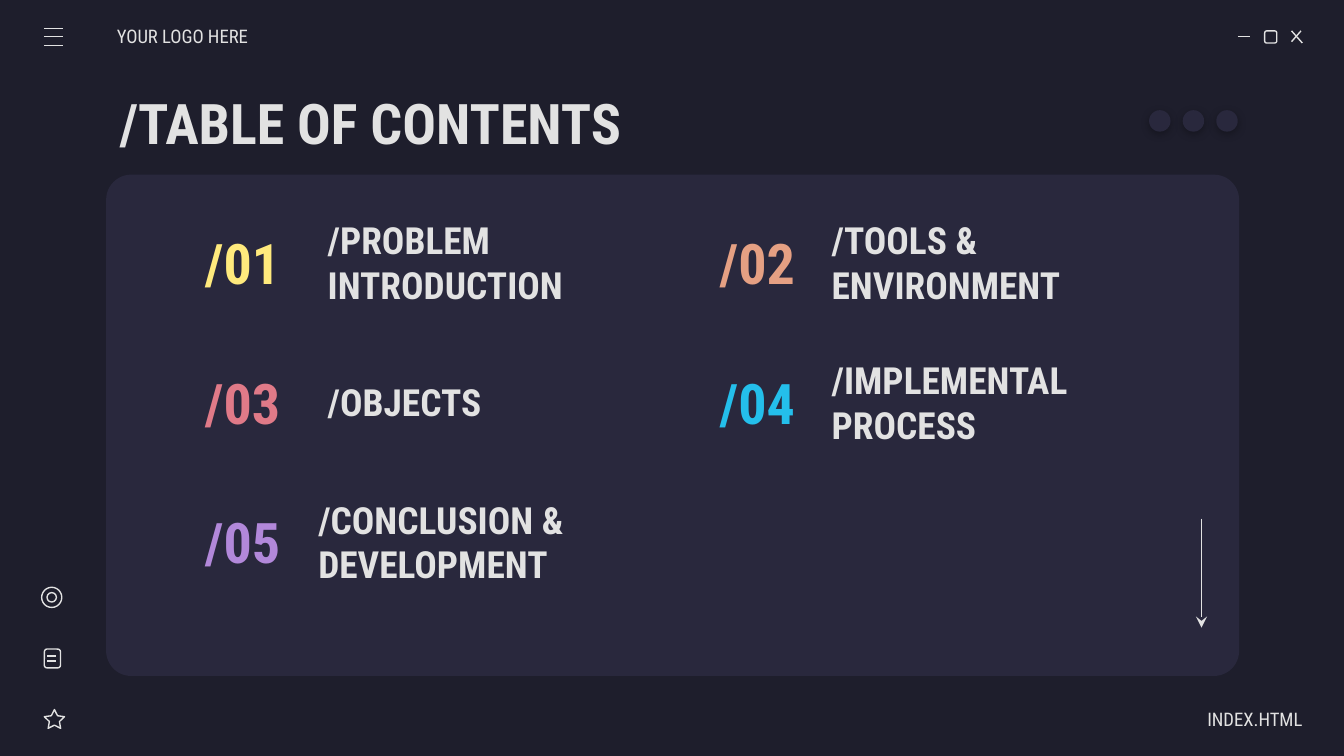
"""Build a dark table of contents slide styled as an application window."""
from lxml import etree
from pptx import Presentation
from pptx.dml.color import RGBColor
from pptx.enum.shapes import MSO_CONNECTOR, MSO_SHAPE
from pptx.enum.text import MSO_ANCHOR, MSO_AUTO_SIZE, PP_ALIGN
from pptx.oxml.ns import qn
from pptx.util import Inches, Pt

STRAIGHT = MSO_CONNECTOR.STRAIGHT
ROUNDED, OVAL, STAR = MSO_SHAPE.ROUNDED_RECTANGLE, MSO_SHAPE.OVAL, MSO_SHAPE.STAR_5_POINT
LEFT, CENTER, RIGHT = PP_ALIGN.LEFT, PP_ALIGN.CENTER, PP_ALIGN.RIGHT
MIDDLE, NO_RESIZE = MSO_ANCHOR.MIDDLE, MSO_AUTO_SIZE.NONE

COLORS = {
    "background": "1E1E2C", "panel": "29283D", "light": "E2E2E2", "shadow": "000000",
    "yellow": "FFEA7D", "orange": "E5A083", "pink": "E07A88", "blue": "24BFEB",
    "purple": "B288DA",
}
FONT = "Roboto Condensed"

TITLE = "/TABLE OF CONTENTS"
SECTIONS = [
    ("/01", "/PROBLEM INTRODUCTION", "yellow", 2.34),
    ("/02", "/TOOLS & ENVIRONMENT", "orange", 6.09),
    ("/03", "/OBJECTS", "pink", 2.34),
    ("/04", "/IMPLEMENTAL PROCESS", "blue", 6.09),
    ("/05", "/CONCLUSION & DEVELOPMENT", "purple", 2.27),
]
CAPTIONS = [
    ("YOUR LOGO HERE", (0.87, 0.12, 1.17, 0.3), LEFT, {"margin_left": 0}),
    ("INDEX.HTML", (8.52, 5.2, 1.17, 0.3), RIGHT, {"margin_right": 0}),
]
ICONS = [
    {
        "shapes": [(ROUNDED, (9.41, 0.23, 0.09, 0.09), [])],
        "lines": [(9.21, 0.27, 9.3, 0.27), (9.61, 0.23, 9.69, 0.32), (9.68, 0.23, 9.61, 0.31)],
    },
    {"shapes": [], "lines": [(0.33, y, 0.47, y) for y in (0.21, 0.27, 0.34)]},
    {
        "shapes": [
            (STAR, (0.33, 5.28, 0.15, 0.14), [0.25]),
            (ROUNDED, (0.33, 4.83, 0.12, 0.14), []),
            (OVAL, (0.31, 4.37, 0.15, 0.15), []),
            (OVAL, (0.35, 4.41, 0.07, 0.07), []),
        ],
        "lines": [(0.35, y, 0.42, y) for y in (4.88, 4.92)],
    },
]
SCROLL_ARROW = (8.94, 3.86, 8.94, 4.67)
FIRST_NUMBER_LEFT, COLUMN_STEP = 1.35, 3.83
FIRST_ROW_TOP, ROW_STEP = 1.67, 1.04
FIRST_DOT_LEFT, DOT_STEP = 8.55, 0.25


def color(name):
    return RGBColor.from_string(COLORS[name])


def set_attributes(target, values):
    for name, value in values.items():
        setattr(target, name, value)


def write(shape, text, size, color_name="light", align=LEFT, bold=True, margins=None):
    frame = shape.text_frame
    frame.text = text
    margin = Inches(0.1)
    frame_format = {
        "word_wrap": True, "auto_size": NO_RESIZE, "vertical_anchor": MIDDLE,
        "margin_left": margin, "margin_top": margin,
        "margin_right": margin, "margin_bottom": margin,
    }
    set_attributes(frame, {**frame_format, **(margins or {})})
    paragraph = frame.paragraphs[0]
    paragraph.alignment = align
    font = paragraph.runs[0].font
    set_attributes(font, {"name": FONT, "size": Pt(size), "bold": bold})
    font.color.rgb = color(color_name)


def add_text(shapes, box, *arguments, **options):
    write(shapes.add_textbox(*map(Inches, box)), *arguments, **options)


def add_shape(shapes, kind, box, adjustments=(), fill=None):
    shape = shapes.add_shape(kind, *map(Inches, box))
    shape.shadow.inherit = False
    for index, value in enumerate(adjustments):
        shape.adjustments[index] = value
    if fill:
        shape.fill.solid()
        shape.fill.fore_color.rgb = color(fill)
        shape.line.fill.background()
    else:
        shape.fill.background()
        shape.line.color.rgb = color("light")
        shape.line.width = Pt(0.75)
    return shape


def add_line(shapes, ends):
    connector = shapes.add_connector(STRAIGHT, *map(Inches, ends))
    connector.line.color.rgb = color("light")
    connector.line.width = Pt(0.75)
    etree.SubElement(connector._element.spPr, qn("a:effectLst"))
    return connector


def add_shadow(shape):
    effects = shape._element.spPr.find(qn("a:effectLst"))
    shadow = etree.SubElement(
        effects, qn("a:outerShdw"), blurRad=str(Pt(4.5)), dist=str(Pt(1.5)),
        dir="5400000", algn="bl", rotWithShape="0")
    shade = etree.SubElement(shadow, qn("a:srgbClr"), val=COLORS["shadow"])
    etree.SubElement(shade, qn("a:alpha"), val="30000")


def main():
    presentation = Presentation()
    presentation.slide_width = Inches(10)
    presentation.slide_height = presentation.slide_width * 9 // 16
    slide = presentation.slides.add_slide(presentation.slide_layouts[5])
    slide.background.fill.solid()
    slide.background.fill.fore_color.rgb = color("background")
    shapes = slide.shapes

    add_shape(shapes, ROUNDED, (0.79, 1.3, 8.43, 3.73), [0.05], "panel")
    title_box = zip(("left", "top", "width", "height"), map(Inches, (0.79, 0.59, 8.43, 0.63)))
    set_attributes(shapes.title, dict(title_box))
    write(shapes.title, TITLE, 30)

    for index, (number, label, accent, label_left) in enumerate(SECTIONS):
        row, column = divmod(index, 2)
        top = FIRST_ROW_TOP + row * ROW_STEP
        number_left = FIRST_NUMBER_LEFT + column * COLUMN_STEP
        add_text(shapes, (label_left, top, 2.56, 0.56), label, 20)
        add_text(shapes, (number_left, top, 0.91, 0.56), number, 30, accent, CENTER)

    for text, box, align, margins in CAPTIONS:
        add_text(shapes, box, text, 10, align=align, bold=False, margins=margins)

    for icon in ICONS:
        group = shapes.add_group_shape()
        for kind, box, adjustments in icon["shapes"]:
            add_shape(group.shapes, kind, box, adjustments)
        for ends in icon["lines"]:
            add_line(group.shapes, ends)

    arrow = add_line(shapes, SCROLL_ARROW)
    etree.SubElement(arrow.line._get_or_add_ln(), qn("a:tailEnd"), type="stealth")

    dots = shapes.add_group_shape()
    for index in range(3):
        box = (FIRST_DOT_LEFT + index * DOT_STEP, 0.82, 0.16, 0.16)
        add_shadow(add_shape(dots.shapes, OVAL, box, fill="panel"))

    presentation.save("out.pptx")


if __name__ == "__main__":
    main()
